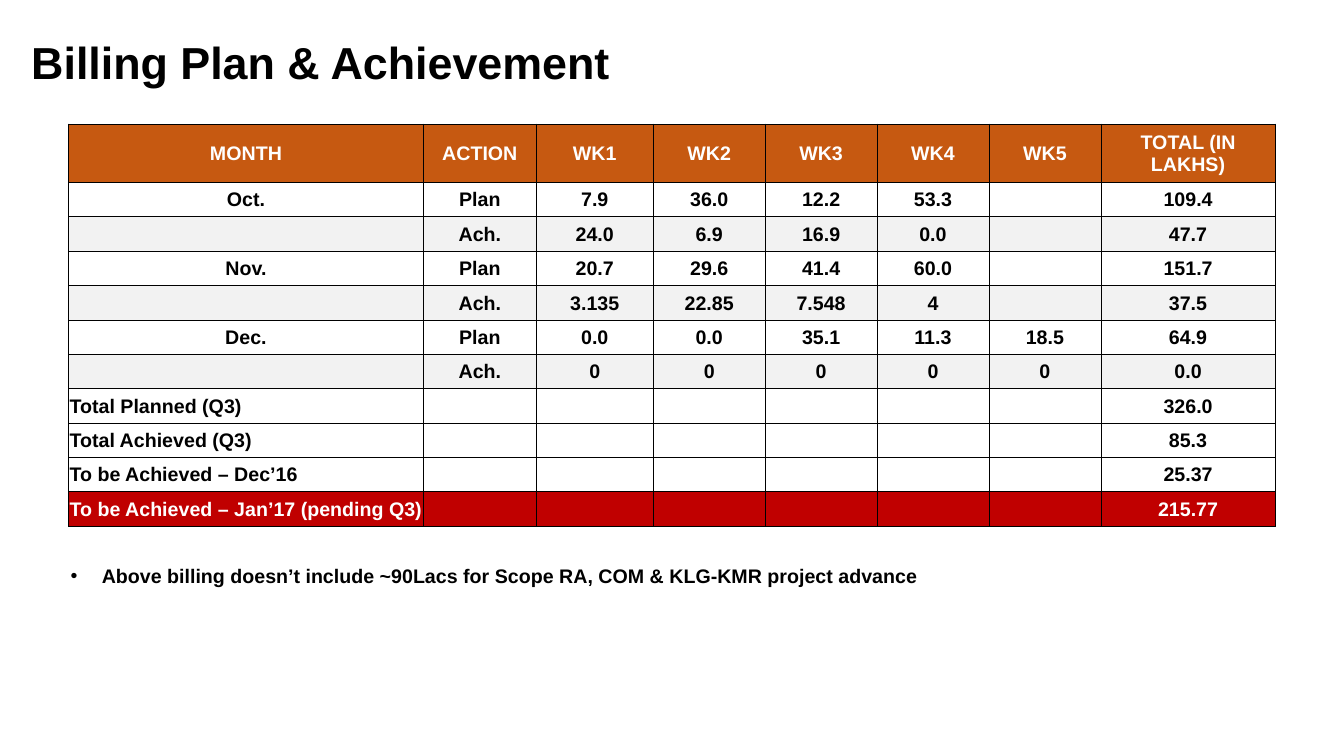
from lxml.etree import SubElement
from pptx import Presentation
from pptx.dml.color import RGBColor
from pptx.enum.text import MSO_ANCHOR as ANCHOR, MSO_AUTO_SIZE as AUTO_SIZE, PP_ALIGN as ALIGN
from pptx.oxml.ns import qn
from pptx.util import Inches, Pt

# Content
TITLE = "Billing Plan & Achievement"
NOTE = "Above billing doesn’t include ~90Lacs for Scope RA, COM & KLG-KMR project advance"
HEADER = ["MONTH", "ACTION", "WK1", "WK2", "WK3", "WK4", "WK5", "TOTAL (IN LAKHS)"]
MONTHS = [
    ["Oct.", "Plan", "7.9", "36.0", "12.2", "53.3", "", "109.4"],
    ["", "Ach.", "24.0", "6.9", "16.9", "0.0", "", "47.7"],
    ["Nov.", "Plan", "20.7", "29.6", "41.4", "60.0", "", "151.7"],
    ["", "Ach.", "3.135", "22.85", "7.548", "4", "", "37.5"],
    ["Dec.", "Plan", "0.0", "0.0", "35.1", "11.3", "18.5", "64.9"],
    ["", "Ach.", "0", "0", "0", "0", "0", "0.0"],
]
TOTALS = [
    ("Total Planned (Q3)", "326.0"),
    ("Total Achieved (Q3)", "85.3"),
    ("To be Achieved – Dec’16", "25.37"),
    ("To be Achieved – Jan’17 (pending Q3)", "215.77"),
]
COL_WIDTHS = [3.52, 1.12, 1.16] + [1.11] * 4 + [1.73]
TABLE_TOP, HEADER_HEIGHT, TABLE_HEIGHT = 1.23, 0.58, 3.99
BLACK, WHITE, ORANGE, GREY, RED = "000000", "FFFFFF", "C65911", "F2F2F2", "C00000"


def rgb(value):
    return RGBColor.from_string(value)


def style(p, size, color=BLACK, align=ALIGN.LEFT):
    p.alignment = align
    p.font.name, p.font.size, p.font.bold = "Arial", Pt(size), True
    p.font.color.rgb = rgb(color)


def fill_placeholder(sp, text, size, left, top, width, height):
    sp.left, sp.top, sp.width, sp.height = map(Inches, (left, top, width, height))
    tf = sp.text_frame
    tf.text = text
    tf.auto_size, tf.vertical_anchor = AUTO_SIZE.NONE, ANCHOR.MIDDLE
    p = tf.paragraphs[0]
    style(p, size)
    p.space_before = Pt(0)
    return p


def add_borders(cell):
    tcPr = cell._tc.get_or_add_tcPr()
    for i, side in enumerate(("lnL", "lnR", "lnT", "lnB")):
        ln = tcPr.makeelement(qn("a:" + side), {"w": str(Pt(0.5))})
        tcPr.insert(i, ln)
        SubElement(SubElement(ln, qn("a:solidFill")), qn("a:srgbClr"), val=BLACK)


def fill_cell(cell, text, fill, color, align):
    cell.margin_left = cell.margin_right = cell.margin_top = Inches(0.01)
    cell.margin_bottom = 0
    cell.vertical_anchor = ANCHOR.MIDDLE
    cell.fill.solid()
    cell.fill.fore_color.rgb = rgb(fill)
    cell.text = text
    style(cell.text_frame.paragraphs[0], 14, color, align)
    add_borders(cell)


prs = Presentation()
prs.slide_width, prs.slide_height = Inches(13.33), Inches(7.5)
slide = prs.slides.add_slide(prs.slide_layouts[1])

# Title
fill_placeholder(slide.shapes.title, TITLE, 32, 0.21, 0.29, 11.42, 0.64)

# Billing table: each row carries its fill and font colour
rows = [(HEADER, ORANGE, WHITE)]
rows += [(row, GREY if row[1] == "Ach." else WHITE, BLACK) for row in MONTHS]
blanks = [""] * (len(HEADER) - 2)
rows += [([label, *blanks, total], WHITE, BLACK) for label, total in TOTALS]
rows[-1] = (rows[-1][0], RED, WHITE)

table = slide.shapes.add_table(
    len(rows), len(HEADER), Inches(0.68), Inches(TABLE_TOP),
    Inches(sum(COL_WIDTHS)), Inches(TABLE_HEIGHT)).table
for column, width in zip(table.columns, COL_WIDTHS):
    column.width = Inches(width)
row_height = (TABLE_HEIGHT - HEADER_HEIGHT) / (len(rows) - 1)
first_total = len(rows) - len(TOTALS)
for r, (texts, fill, color) in enumerate(rows):
    table.rows[r].height = Inches(row_height if r else HEADER_HEIGHT)
    for c, text in enumerate(texts):
        align = ALIGN.LEFT if c == 0 and r >= first_total else ALIGN.CENTER
        fill_cell(table.cell(r, c), text, fill, color, align)

# Bulleted note
p = fill_placeholder(slide.placeholders[1], NOTE, 14, 0.6, 5.54, 11.97, 0.34)
pPr = p._p.get_or_add_pPr()
pPr.set("marL", str(Inches(0.31)))
pPr.set("indent", str(-Inches(0.31)))

prs.save("out.pptx")
